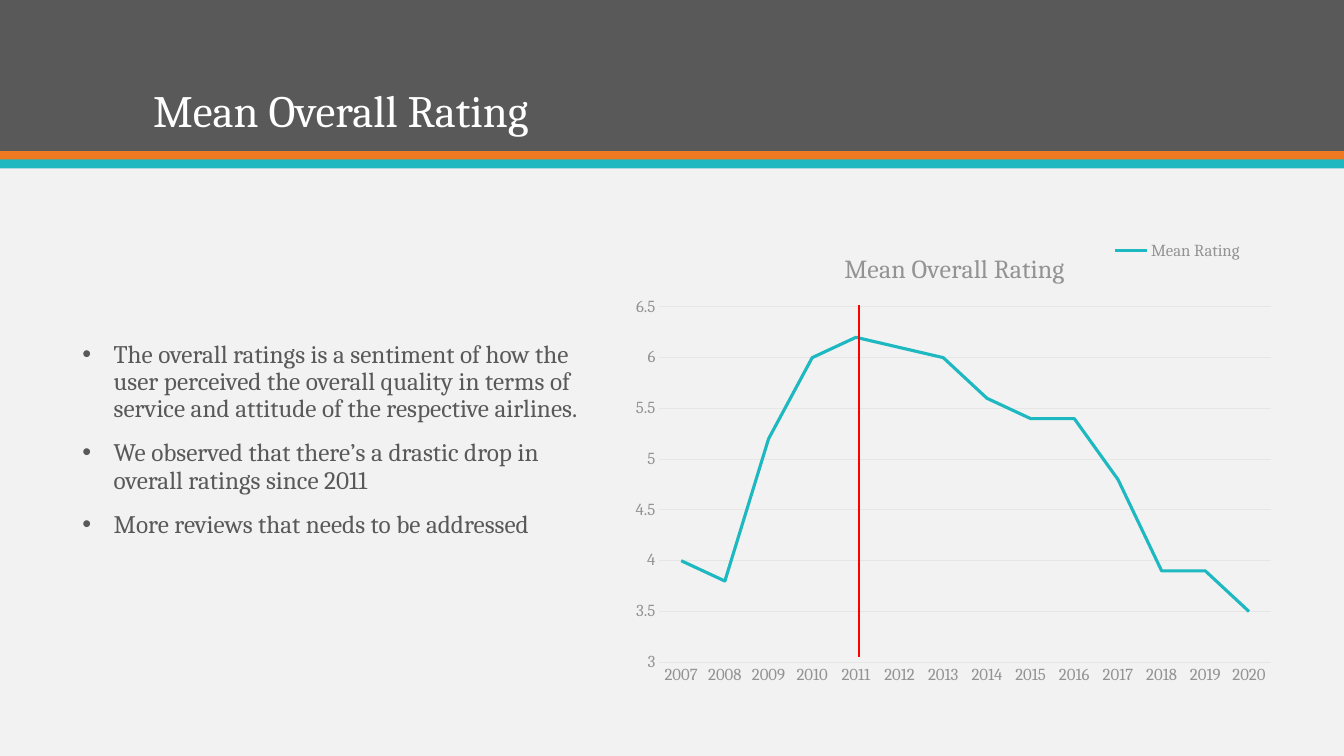
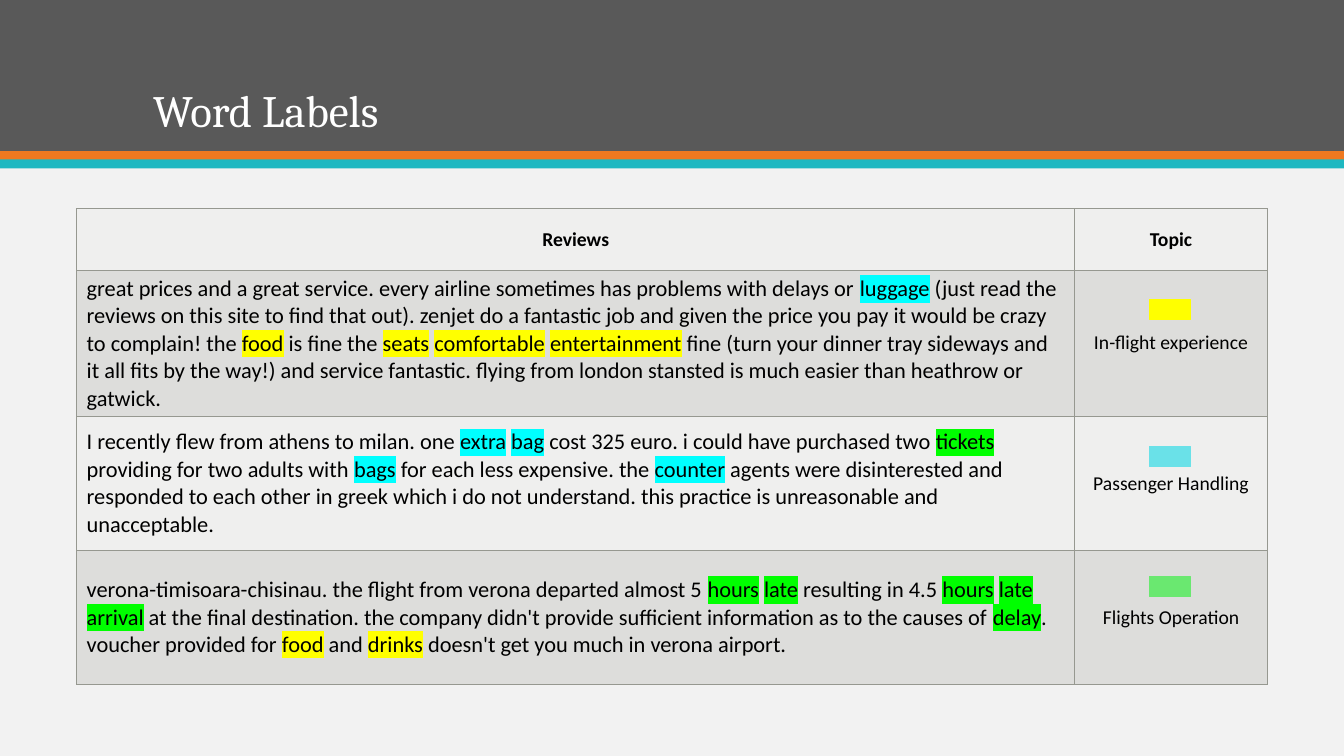
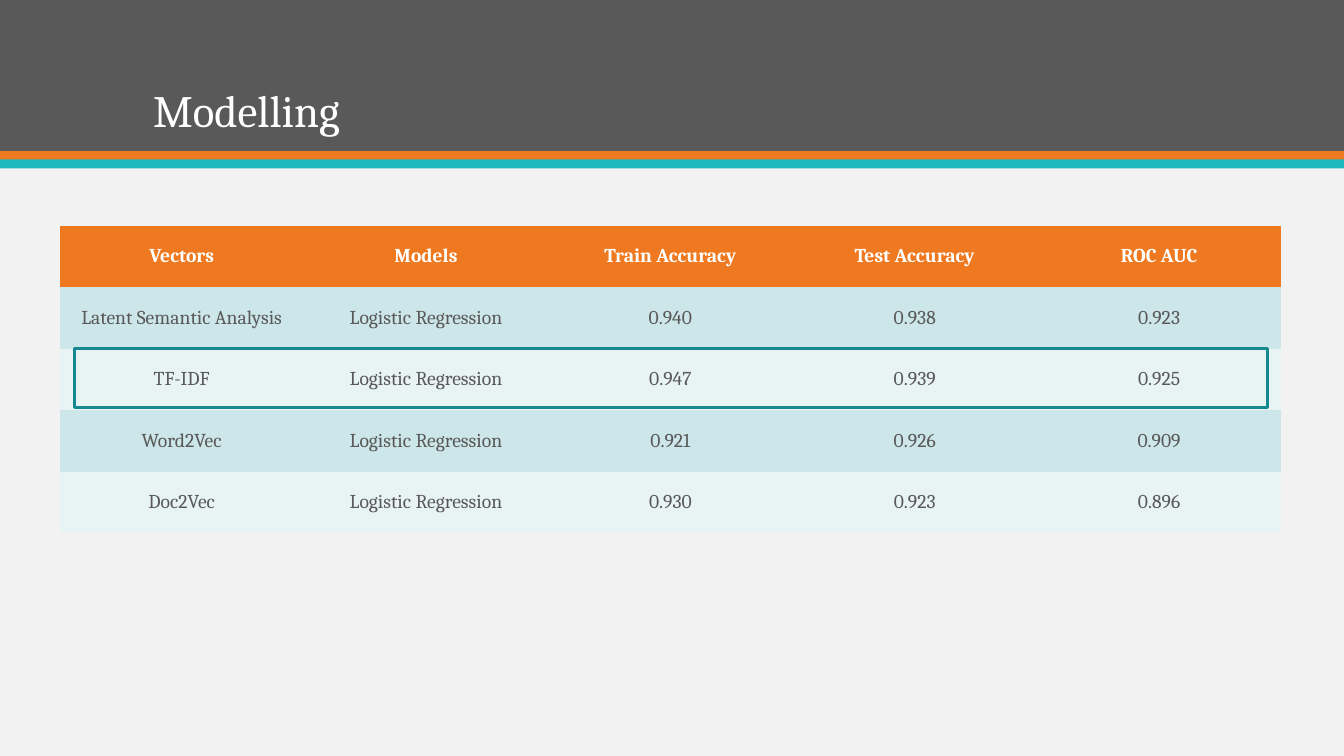
"""Build three slides on airline reviews: ratings, word labels and models."""
from dataclasses import dataclass

from lxml import etree
from pptx import Presentation
from pptx import util as u
from pptx.chart.data import CategoryChartData
from pptx.dml.color import RGBColor
from pptx.enum import chart as charts, shapes, text
from pptx.oxml import ns


@dataclass(frozen=True)
class Theme:
    """Hold the colours, fonts and type sizes of the deck."""
    paper: str = "F2F2F2"
    ink: str = "595959"
    orange: str = "EF7920"
    teal: str = "1EB8C1"
    deep_teal: str = "16888F"
    white: str = "FFFFFF"
    black: str = "000000"
    red: str = "FF0000"
    axis_text: str = "939393"
    grid: str = "E6E6E6"
    border: str = "969890"
    review_bands: tuple = ("EFEFEE", "DDDDDB")
    model_bands: tuple = ("E8F3F4", "CDE6E9")
    yellow: str = "FFFF00"
    cyan: str = "00FFFF"
    green: str = "00FF00"
    cyan_swatch: str = "6AE1E8"
    green_swatch: str = "6AE870"
    serif: str = "Cambria"
    sans: str = "Calibri"
    title_size: float = 32
    chart_title_size: float = 18.6
    body_size: float = 18
    review_size: float = 16
    cell_size: float = 14
    axis_size: float = 12


THEME = Theme()
SLIDE_WIDTH, SLIDE_HEIGHT = 13.33, 7.5
NO_TABLE_STYLE = "{2D5ABB26-0587-4C30-8999-92F81FD0307C}"

BANDS = [(0, 1.5, THEME.ink), (1.5, 0.09, THEME.orange), (1.58, 0.09, THEME.teal)]

POINTS = [
    "The overall ratings is a sentiment of how the user perceived the overall quality "
    "in terms of service and attitude of the respective airlines.",
    "We observed that there’s a drastic drop in overall ratings since 2011",
    "More reviews that needs to be addressed",
]
FIRST_YEAR = 2007
RATINGS = [4, 3.8, 5.2, 6, 6.2, 6.1, 6, 5.6, 5.4, 5.4, 4.8, 3.9, 3.9, 3.5]

TOPIC_WORDS = {
    THEME.yellow: "food seats comfortable entertainment drinks",
    THEME.cyan: "luggage extra bag bags counter",
    THEME.green: "tickets hours late arrival delay",
}
WORD_COLOURS = {word: colour for colour, words in TOPIC_WORDS.items() for word in words.split()}
REVIEWS = [
    ("great prices and a great service. every airline sometimes has problems with delays or "
     "|luggage| (just read the reviews on this site to find that out). zenjet do a fantastic job "
     "and given the price you pay it would be crazy to complain! the |food| is fine the |seats| "
     "|comfortable| |entertainment| fine (turn your dinner tray sideways and it all fits by the "
     "way!) and service fantastic. flying from london stansted is much easier than heathrow or "
     "gatwick.", "In-flight experience"),
    ("I recently flew from athens to milan. one |extra| |bag| cost 325 euro. i could have "
     "purchased two |tickets| providing for two adults with |bags| for each less expensive. the "
     "|counter| agents were disinterested and responded to each other in greek which i do not "
     "understand. this practice is unreasonable and unacceptable.", "Passenger Handling"),
    ("verona-timisoara-chisinau. the flight from verona departed almost 5 |hours| |late| "
     "resulting in 4.5 |hours| |late| |arrival| at the final destination. the company didn't "
     "provide sufficient information as to the causes of |delay|. voucher provided for |food| "
     "and |drinks| doesn't get you much in verona airport.", "Flights Operation"),
]
SWATCHES = [(2.97, THEME.yellow), (4.43, THEME.cyan_swatch), (5.72, THEME.green_swatch)]

MODEL_HEADINGS = ["Vectors", "Models", "Train Accuracy", "Test Accuracy", "ROC AUC"]
MODEL_SCORES = [
    ("Latent Semantic Analysis", "0.940", "0.938", "0.923"),
    ("TF-IDF", "0.947", "0.939", "0.925"),
    ("Word2Vec", "0.921", "0.926", "0.909"),
    ("Doc2Vec", "0.930", "0.923", "0.896"),
]


def rgb(colour):
    """Turn a hex string into a colour."""
    return RGBColor.from_string(colour)


def add_child(parent, tag, **attributes):
    """Append an XML element with the given attributes."""
    values = {name: str(value) for name, value in attributes.items()}
    return etree.SubElement(parent, ns.qn(tag), values)


def set_font(font, size, colour, family=THEME.serif, bold=False):
    """Style a font."""
    font.size, font.name, font.bold = u.Pt(size), family, bold
    font.color.rgb = rgb(colour)


def add_span(para, words, size, colour, family=THEME.serif, bold=False, highlight=None):
    """Add one styled run, highlighted if a colour is given."""
    span = para.add_run()
    span.text = words
    set_font(span.font, size, colour, family, bold)
    if highlight:
        fill = span.font._element.find(ns.qn("a:solidFill"))
        mark = fill.makeelement(ns.qn("a:highlight"), {})
        add_child(mark, "a:srgbClr", val=highlight)
        fill.addnext(mark)


def add_rect(page, left, top, width, height, fill=None, line=None, weight=1):
    """Add a rectangle with an optional fill and outline."""
    rect = page.shapes.add_shape(shapes.MSO_SHAPE.RECTANGLE, *map(u.Inches, (left, top, width, height)))
    rect.shadow.inherit = False
    for paint, colour in ((rect.fill, fill), (rect.line.fill, line)):
        if colour:
            paint.solid()
            paint.fore_color.rgb = rgb(colour)
        else:
            paint.background()
    if line:
        rect.line.width = u.Pt(weight)


def add_box(page, left, top, width, height, anchor):
    """Add a wrapping text box and return its frame."""
    frame = page.shapes.add_textbox(*map(u.Inches, (left, top, width, height))).text_frame
    frame.word_wrap = True
    frame.vertical_anchor = anchor
    return frame


def add_page(deck, title):
    """Add a slide with the shared bands and title."""
    page = deck.slides.add_slide(deck.slide_layouts[6])
    for top, height, colour in BANDS:
        add_rect(page, 0, top, SLIDE_WIDTH, height, colour)
    para = add_box(page, 1.42, 0.28, 10.5, 1.13, text.MSO_ANCHOR.BOTTOM).paragraphs[0]
    para.line_spacing = 0.9
    add_span(para, title, THEME.title_size, THEME.white)
    return page


def add_bullets(page, points):
    """Add the bulleted list."""
    frame = add_box(page, 0.72, 1.99, 5.16, 4.75, text.MSO_ANCHOR.MIDDLE)
    indent = u.Inches(0.31)
    for index, point in enumerate(points):
        para = frame.add_paragraph() if index else frame.paragraphs[0]
        props = para._p.get_or_add_pPr()
        props.set("marL", str(indent))
        props.set("indent", str(-indent))
        add_child(props, "a:buFont", typeface="Arial")
        add_child(props, "a:buChar", char="•")
        para.line_spacing = 0.9
        if index:
            para.space_before = u.Pt(12)
        add_span(para, point, THEME.body_size, THEME.ink)


def place(element, index, inner=False, **fractions):
    """Give a chart part a fixed place as fractions of the chart."""
    for old in element.findall(ns.qn("c:layout")):
        element.remove(old)
    layout = element.makeelement(ns.qn("c:layout"), {})
    element.insert(index, layout)
    manual = add_child(layout, "c:manualLayout")
    if inner:
        add_child(manual, "c:layoutTarget", val="inner")
    for mode in ("xMode", "yMode"):
        add_child(manual, f"c:{mode}", val="edge")
    for name, value in fractions.items():
        add_child(manual, f"c:{name}", val=value)


def style_axis(axis):
    """Style the labels of an axis and drop its ticks."""
    set_font(axis.tick_labels.font, THEME.axis_size, THEME.axis_text)
    axis.major_tick_mark = axis.minor_tick_mark = charts.XL_TICK_MARK.NONE


def style_line(line, colour, weight):
    """Set the colour and weight of a line."""
    line.color.rgb, line.width = rgb(colour), u.Pt(weight)


def add_rating_chart(page):
    """Add the line chart of ratings by year."""
    data = CategoryChartData()
    data.categories = [str(FIRST_YEAR + step) for step in range(len(RATINGS))]
    data.add_series("Mean Rating", RATINGS)
    frame = page.shapes.add_chart(
        charts.XL_CHART_TYPE.LINE, *map(u.Inches, (6.22, 2.21, 6.39, 4.64)), data)
    chart = frame.chart
    set_font(chart.font, THEME.axis_size, THEME.axis_text)

    add_span(chart.chart_title.text_frame.paragraphs[0], "Mean Overall Rating",
             THEME.chart_title_size, THEME.axis_text)
    place(chart.chart_title._element, 1, x=0.33, y=0.05)

    chart.has_legend = True
    chart.legend.position = charts.XL_LEGEND_POSITION.BOTTOM
    chart.legend.include_in_layout = False
    set_font(chart.legend.font, THEME.axis_size, THEME.axis_text)
    place(chart.legend._element, 1, x=0.75, y=0.03, w=0.21, h=0.06)

    years, scores = chart.category_axis, chart.value_axis
    style_axis(years)
    style_line(years.format.line, THEME.grid, 0.75)
    style_axis(scores)
    scores.minimum_scale, scores.maximum_scale, scores.major_unit = 3, 6.5, 0.5
    scores.format.line.fill.background()
    style_line(scores.major_gridlines.format.line, THEME.grid, 0.75)

    plot = chart.plots[0]
    plot.vary_by_categories = False
    series = plot.series[0]
    series.smooth = False
    series.marker.style = charts.XL_MARKER_STYLE.NONE
    style_line(series.format.line, THEME.teal, 2.25)
    place(plot._element.getparent(), 0, inner=True, x=0.05, y=0.18, w=0.95, h=0.76)


def add_line(page, start, end, colour, weight):
    """Add a straight line between two points."""
    line = page.shapes.add_connector(
        shapes.MSO_CONNECTOR.STRAIGHT, *map(u.Inches, (*start, *end)))
    style_line(line.line, colour, weight)
    add_child(line._element.spPr, "a:effectLst")


def add_table(page, left, top, widths, heights):
    """Add a table without a style and return it."""
    size = (left, top, sum(widths), sum(heights))
    table = page.shapes.add_table(len(heights), len(widths), *map(u.Inches, size)).table
    table.horz_banding = False
    table._tbl.tblPr.find(ns.qn("a:tableStyleId")).text = NO_TABLE_STYLE
    for column, width in zip(table.columns, widths):
        column.width = u.Inches(width)
    for row, height in zip(table.rows, heights):
        row.height = u.Inches(height)
    return table


def prepare_cell(cell, fill, centred=True, border=None):
    """Fill, border and align a cell and return its paragraph."""
    if border:
        for side in ("lnL", "lnR", "lnT", "lnB"):
            edge = add_child(cell._tc.get_or_add_tcPr(), f"a:{side}", w=u.Pt(1))
            add_child(add_child(edge, "a:solidFill"), "a:srgbClr", val=border)
    cell.fill.solid()
    cell.fill.fore_color.rgb = rgb(fill)
    cell.vertical_anchor = text.MSO_ANCHOR.MIDDLE
    para = cell.text_frame.paragraphs[0]
    para.alignment = text.PP_ALIGN.CENTER if centred else text.PP_ALIGN.LEFT
    return para


def add_review_table(page):
    """Add the reviews with their topic words highlighted."""
    table = add_table(page, 0.76, 2.07, [9.9, 1.91], [0.61, 1.45, 1.33, 1.33])
    for row, entries in enumerate([("Reviews", "Topic"), *REVIEWS]):
        for column, entry in enumerate(entries):
            is_review = row > 0 and column == 0
            para = prepare_cell(table.cell(row, column), THEME.review_bands[row % 2],
                                not is_review, THEME.border)
            size = THEME.review_size if is_review else THEME.cell_size
            for index, words in enumerate(entry.split("|")):
                highlight = WORD_COLOURS[words] if index % 2 else None
                add_span(para, words, size, THEME.black, THEME.sans, row == 0, highlight)


def add_model_table(page):
    """Add the scores of each model."""
    rows = [MODEL_HEADINGS]
    rows += [(vector, "Logistic Regression", *scores) for vector, *scores in MODEL_SCORES]
    table = add_table(page, 0.59, 2.24, [12.12 / 5] * 5, [0.61] * len(rows))
    for row, entries in enumerate(rows):
        heading = row == 0
        fill = THEME.orange if heading else THEME.model_bands[row % 2]
        colour = THEME.white if heading else THEME.ink
        for column, entry in enumerate(entries):
            para = prepare_cell(table.cell(row, column), fill)
            add_span(para, entry, THEME.cell_size, colour, bold=heading)


def main():
    """Build and save the deck."""
    deck = Presentation()
    deck.slide_width, deck.slide_height = u.Inches(SLIDE_WIDTH), u.Inches(SLIDE_HEIGHT)
    backdrop = deck.slide_master.background.fill
    backdrop.solid()
    backdrop.fore_color.rgb = rgb(THEME.paper)

    page = add_page(deck, "Mean Overall Rating")
    add_rating_chart(page)
    add_bullets(page, POINTS)
    add_line(page, (8.52, 3.03), (8.52, 6.52), THEME.red, 1.5)

    page = add_page(deck, "Word Labels")
    add_review_table(page)
    for top, colour in SWATCHES:
        add_rect(page, 11.4, top, 0.41, 0.2, colour, colour)

    page = add_page(deck, "Modelling")
    add_model_table(page)
    add_rect(page, 0.74, 3.46, 11.83, 0.58, line=THEME.deep_teal, weight=2.25)

    deck.save("out.pptx")


if __name__ == "__main__":
    main()
